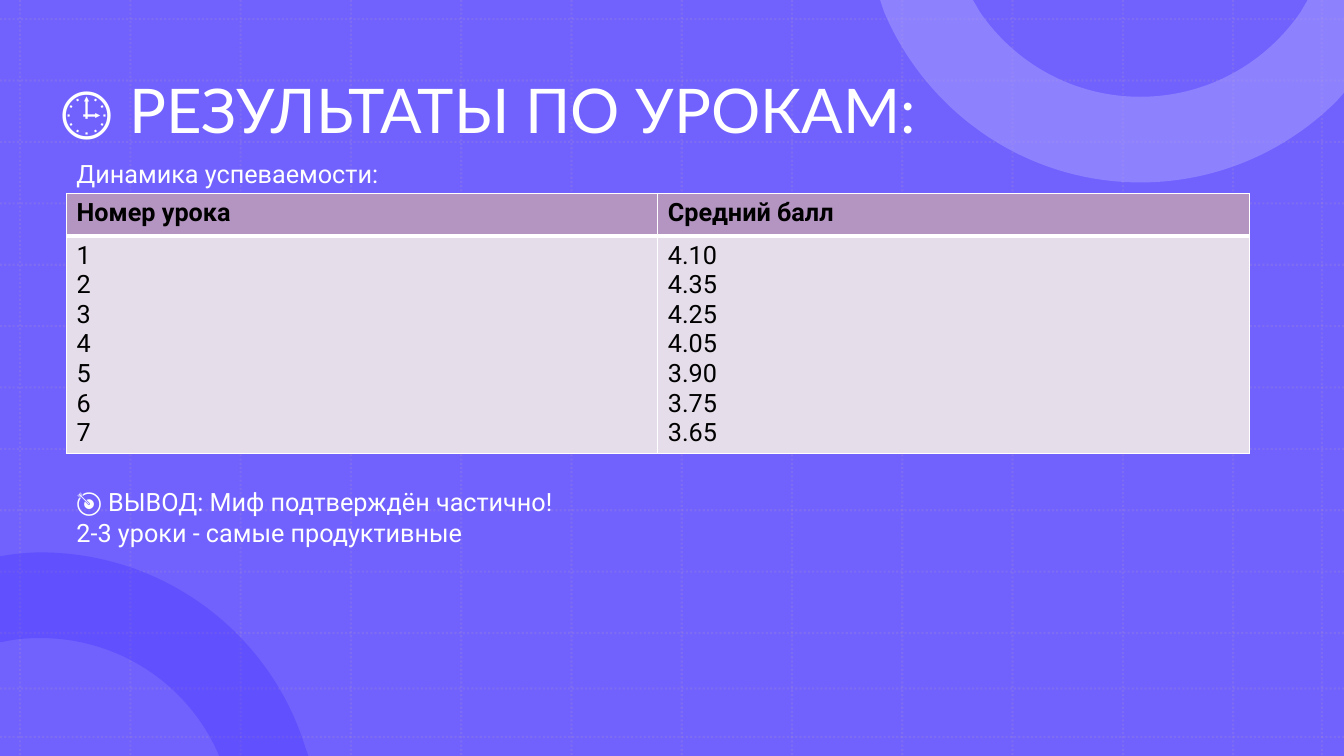
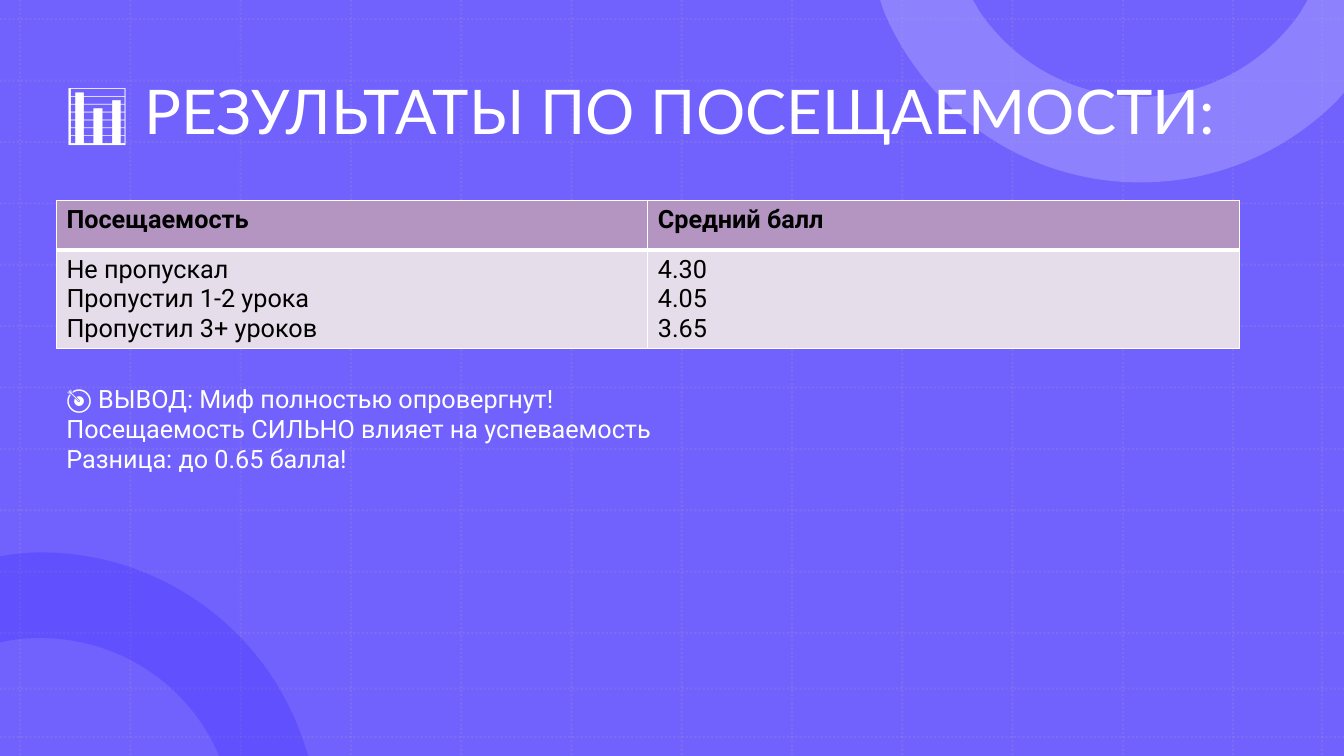
from lxml import etree
from pptx import Presentation
from pptx.dml.color import RGBColor
from pptx.enum import dml, shapes, text
from pptx.oxml import ns
from pptx.util import Inches, Pt

VIOLET = RGBColor(0x71, 0x62, 0xFE)
INDIGO = RGBColor(0x22, 0x0B, 0xFD)
LAVENDER = RGBColor(0xAA, 0xA1, 0xFE)
MAUVE = RGBColor(0xB4, 0x95, 0xC2)
PALE = RGBColor(0xE5, 0xDD, 0xE9)
WHITE = RGBColor(0xFF, 0xFF, 0xFF)
BLACK = RGBColor(0, 0, 0)

WIDTH, HEIGHT = 13.33, 7.5
TABLE_WIDTH = 11.73

LOWER_RING = [
    (0.4, 5.48), (1.64, 5.48, 2.69, 6.3, 3.03, 7.42), (3.06, 7.5),
    (2.17, 7.5), (2.17, 7.49), (1.88, 6.81, 1.2, 6.33, 0.4, 6.33),
    (0.27, 6.33, 0.14, 6.34, 0.02, 6.37), (-0.01, 6.37), (-0.01, 5.52),
    (0.12, 5.5), (0.21, 5.49, 0.31, 5.48, 0.4, 5.48)]
UPPER_RING = [
    (8.73, 0), (9.65, 0), (9.72, 0.12), (10.07, 0.63, 10.65, 0.96, 11.31, 0.96),
    (11.97, 0.96, 12.55, 0.63, 12.9, 0.12), (12.97, 0), (13.33, 0),
    (13.33, 0.92), (13.26, 1), (12.76, 1.5, 12.07, 1.81, 11.31, 1.81),
    (10.17, 1.81, 9.19, 1.11, 8.77, 0.12)]


def write(tf, lines, font="Roboto", size=18, color=WHITE, bold=False, spacing=None):
    tf.word_wrap = True
    for i, line in enumerate(lines):
        p = tf.paragraphs[0] if i == 0 else tf.add_paragraph()
        p.alignment = text.PP_ALIGN.LEFT
        if spacing:
            p.line_spacing = spacing
        r = p.add_run()
        r.text = line
        r.font.name = font
        r.font.size = Pt(size)
        r.font.bold = bold
        r.font.color.rgb = color


def set_alpha(sp, percent):
    clr = next(sp.element.spPr.iter(ns.qn("a:srgbClr")))
    etree.SubElement(clr, ns.qn("a:alpha"), val=str(percent * 1000))


def set_borders(cell, top=1, bottom=1):
    widths = {"lnL": 1, "lnR": 1, "lnT": top, "lnB": bottom}
    tcPr = cell._tc.get_or_add_tcPr()
    for i, (side, width) in enumerate(widths.items()):
        ln = etree.Element(ns.qn(f"a:{side}"), w=str(Pt(width)))
        fill = etree.SubElement(ln, ns.qn("a:solidFill"))
        etree.SubElement(fill, ns.qn("a:srgbClr"), val=str(WHITE))
        tcPr.insert(i, ln)


class Deck:
    def __init__(self):
        self.prs = Presentation()
        self.prs.slide_width = Inches(WIDTH)
        self.prs.slide_height = Inches(HEIGHT)
        self.layout = self.prs.slide_layouts.get_by_name("Title Only")
        self.s = None

    def slide(self, title, left, top):
        self.s = self.prs.slides.add_slide(self.layout)
        sp = self.s.shapes.title
        sp.left, sp.top = Inches(left), Inches(top)
        sp.width, sp.height = Inches(TABLE_WIDTH), Inches(1.45)
        tf = sp.text_frame
        tf.auto_size = text.MSO_AUTO_SIZE.NONE
        tf.vertical_anchor = text.MSO_ANCHOR.MIDDLE
        write(tf, [title], font="Lato", size=44, spacing=0.9)

    def decorate_layout(self):
        columns = [0.2 + i * (12.23 - 0.2) / 11 for i in range(12)] + [13.11]
        rows = [0.19 + i * (6.28 - 0.19) / 10 for i in range(11)] + [6.83, 7.31]
        decor = [self.backdrop()]
        decor += [self.grid_line(x, 0, x, HEIGHT) for x in columns]
        decor += [self.grid_line(0, y, WIDTH, y) for y in rows]
        decor += [self.ring(LOWER_RING, INDIGO, 20),
                  self.ring(UPPER_RING, LAVENDER, 50)]
        for i, sp in enumerate(decor, 100):
            next(sp.element.iter(ns.qn("p:cNvPr"))).set("id", str(i))
            self.layout.shapes.element.append(sp.element)

    def paint(self, sp, color):
        sp.shadow.inherit = False
        sp.fill.solid()
        sp.fill.fore_color.rgb = color
        sp.line.fill.background()
        return sp

    def backdrop(self):
        sp = self.s.shapes.add_shape(
            shapes.MSO_SHAPE.RECTANGLE, 0, 0, Inches(WIDTH), Inches(HEIGHT))
        return self.paint(sp, VIOLET)

    def grid_line(self, x1, y1, x2, y2):
        cxn = self.s.shapes.add_connector(
            shapes.MSO_CONNECTOR.STRAIGHT, *map(Inches, (x1, y1, x2, y2)))
        cxn.line.color.rgb = MAUVE
        cxn.line.width = Pt(1.5)
        cxn.line.dash_style = dml.MSO_LINE.ROUND_DOT
        set_alpha(cxn, 20)
        etree.SubElement(cxn.element.spPr, ns.qn("a:effectLst"))
        return cxn

    def ring(self, outline, color, alpha):
        ends = [tuple(map(Inches, step[-2:])) for step in outline]
        builder = self.s.shapes.build_freeform(*ends[0])
        builder.add_line_segments(ends[1:], close=True)
        sp = self.paint(builder.convert_to_shape(), color)
        set_alpha(sp, alpha)
        segments = list(sp.element.spPr.iter(ns.qn("a:lnTo")))
        for step, segment in zip(outline[1:], segments):
            if len(step) == 6:
                curve = etree.Element(ns.qn("a:cubicBezTo"))
                for x, y in zip(step[::2], step[1::2]):
                    etree.SubElement(curve, ns.qn("a:pt"),
                                     x=str(Inches(x) - sp.left),
                                     y=str(Inches(y) - sp.top))
                segment.getparent().replace(segment, curve)
        return sp

    def table(self, left, top, heights, header, columns):
        frame = self.s.shapes.add_table(
            2, len(header), Inches(left), Inches(top),
            Inches(TABLE_WIDTH), Inches(sum(heights)))
        tbl = frame.table
        for row, height in zip(tbl.rows, heights):
            row.height = Inches(height)
        for col, (name, values) in enumerate(zip(header, columns)):
            self.cell(tbl.cell(0, col), [name], MAUVE, bold=True, bottom=3)
            self.cell(tbl.cell(1, col), values, PALE, top=3)

    def cell(self, cell, lines, color, bold=False, **borders):
        cell.fill.solid()
        cell.fill.fore_color.rgb = color
        set_borders(cell, **borders)
        write(cell.text_frame, lines, color=BLACK, bold=bold)

    def note(self, left, top, width, height, lines):
        sp = self.s.shapes.add_textbox(*map(Inches, (left, top, width, height)))
        write(sp.text_frame, lines)


def main():
    deck = Deck()

    deck.slide("🕒 РЕЗУЛЬТАТЫ ПО УРОКАМ:", 0.5, 0.4)
    deck.decorate_layout()
    deck.table(0.66, 1.92, (0.42, 2.16), ("Номер урока", "Средний балл"), (
        [str(n) for n in range(1, 8)],
        ["4.10", "4.35", "4.25", "4.05", "3.90", "3.75", "3.65"]))
    deck.note(0.66, 1.52, 6.69, 0.4, ["Динамика успеваемости:"])
    deck.note(0.66, 4.78, 6.69, 0.71, [
        "🎯 ВЫВОД: Миф подтверждён частично!",
        "2-3 уроки - самые продуктивные"])

    deck.slide("📊 РЕЗУЛЬТАТЫ ПО ПОСЕЩАЕМОСТИ:", 0.56, 0.41)
    deck.table(0.56, 1.99, (0.49, 0.98), ("Посещаемость", "Средний балл"), (
        ["Не пропускал", "Пропустил 1-2 урока", "Пропустил 3+ уроков"],
        ["4.30", "4.05", "3.65"]))
    deck.note(0.56, 3.75, 11.86, 1.01, [
        "🎯 ВЫВОД: Миф полностью опровергнут!",
        "Посещаемость СИЛЬНО влияет на успеваемость",
        "Разница: до 0.65 балла!"])

    deck.prs.save("out.pptx")


if __name__ == "__main__":
    main()
